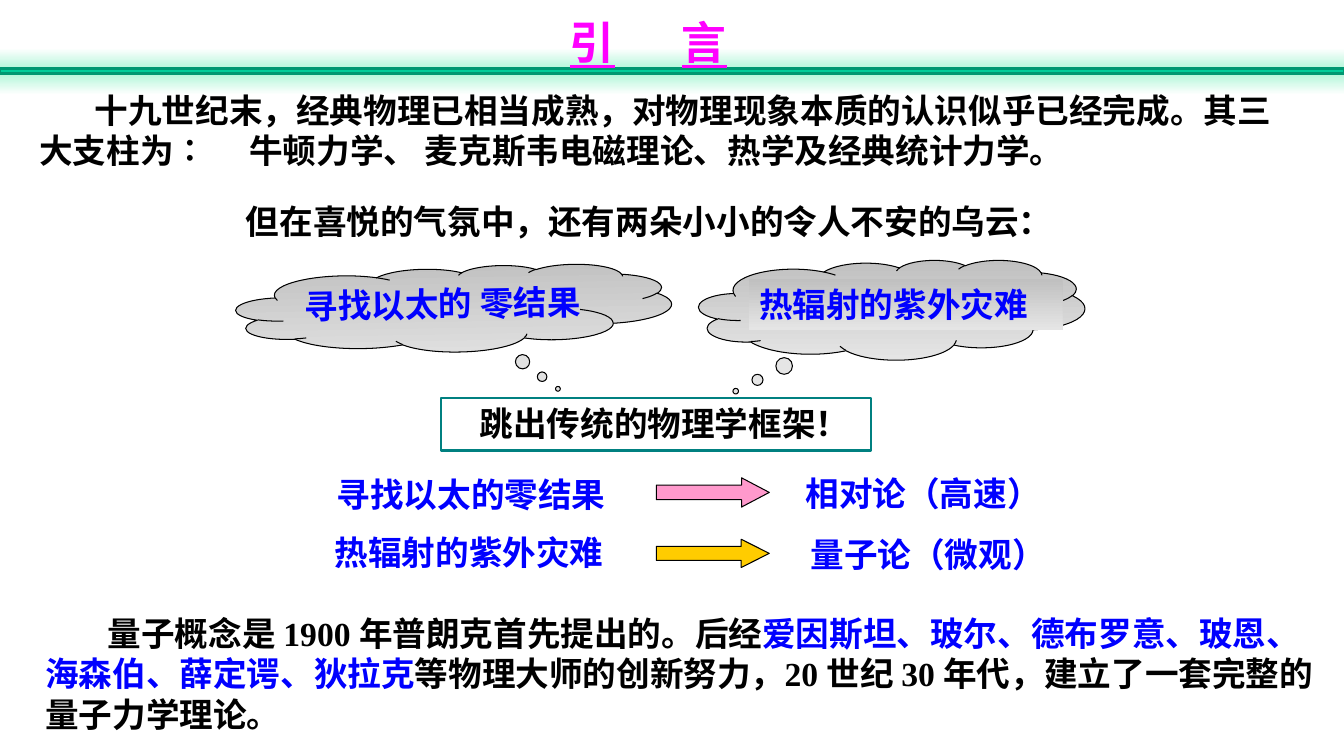
"""Build the introduction slide on the two clouds of classical physics."""
from pptx import Presentation
from pptx.dml.color import RGBColor
from pptx.enum.shapes import MSO_SHAPE as Shape
from pptx.enum.text import MSO_ANCHOR as Anchor, PP_ALIGN as Align
from pptx.util import Inches, Pt

BLACK, BLUE, MAGENTA = "000000", "0000FF", "FF00FF"


def paint(part, fill=None, line=None, width=0.75):
    """Fill with one colour or a downward pair, and outline if asked."""
    part.shadow.inherit = False
    if isinstance(fill, tuple):
        part.fill.gradient()
        part.fill.gradient_angle = 270
        for stop, tone in zip(part.fill.gradient_stops, fill):
            stop.color.rgb = RGBColor.from_string(tone)
    elif fill:
        part.fill.solid()
        part.fill.fore_color.rgb = RGBColor.from_string(fill)
    else:
        part.fill.background()
    if line:
        part.line.color.rgb = RGBColor.from_string(line)
        part.line.width = Pt(width)
    else:
        part.line.fill.background()


def write(part, runs, size=24, align=Align.LEFT, indent=0, margin=0):
    """Write (text, colour, spacing in points) runs as one paragraph."""
    frame = part.text_frame
    frame.word_wrap = True
    frame.vertical_anchor = Anchor.TOP
    paragraph = frame.paragraphs[0]
    paragraph.alignment = align
    properties = paragraph._p.get_or_add_pPr()
    properties.set("marL", str(Inches(margin)))
    properties.set("indent", str(Inches(indent)))
    for text, tone, spacing in runs:
        run = paragraph.add_run()
        run.text = text
        run.font.name = "Times New Roman"
        run.font.size = Pt(size)
        run.font.bold = True
        run.font.color.rgb = RGBColor.from_string(tone)
        if spacing:
            run.font._element.set("spc", str(spacing * 100))


deck = Presentation()
deck.slide_width, deck.slide_height = Inches(13.33), Inches(7.5)
slide = deck.slides.add_slide(deck.slide_layouts[6])
shapes = slide.shapes
slide.background.fill.solid()
slide.background.fill.fore_color.rgb = RGBColor.from_string("FFFFFF")

for top, tones in ((0.48, ("FFFFFF", "AAF5D5")), (0.71, ("AAF5D5", "FFFFFF"))):
    glow = shapes.add_shape(Shape.RECTANGLE, 0, Inches(top), Inches(13.33), Inches(0.23))
    paint(glow, tones)
bar = shapes.add_shape(Shape.RECTANGLE, 0, Inches(0.68), Inches(13.33), Inches(0.05))
paint(bar, "00CC99", "009771", 2)

title = shapes.add_textbox(Inches(5.37), Inches(0.1), Inches(2.12), Inches(0.63))
write(title, [("引", MAGENTA, 48), ("言", MAGENTA, 0)], 32, Align.CENTER)
for run in title.text_frame.paragraphs[0].runs:
    run.font.underline = True

pillars = shapes.add_textbox(Inches(0.29), Inches(0.84), Inches(12.68), Inches(0.91))
write(pillars, [
    ("十九世纪末，经典物理已相当成熟，对物理现象本质的认识似乎已经完成。其三大支柱为", BLACK, 0),
    ("∶", BLACK, 30),
    ("牛顿力学、 麦克斯韦电磁理论、热学及经典统计力学。", BLACK, 0),
], indent=0.55)

turn = shapes.add_textbox(Inches(2.34), Inches(1.94), Inches(8.79), Inches(0.5))
write(turn, [("但在喜悦的气氛中，还有两朵小小的令人不安的乌云：", BLACK, 0)])

breakout = shapes.add_shape(Shape.RECTANGLE, Inches(4.37), Inches(3.95), Inches(4.27), Inches(0.52))
paint(breakout, None, "008080", 1.5)
write(breakout, [("跳出传统的物理学框架！", BLACK, 0)], align=Align.CENTER, margin=0.17)

clouds = [
    ((2.34, 2.64, 4.32, 0.85), (0.236, 0.953), "E1E1E1", 359,
     (2.92, 2.76, 3.09, 0.5), None, "寻找以太的 零结果"),
    ((6.93, 2.58, 3.83, 0.99), (-0.404, 0.814), "E5E5E5", 0,
     (7.43, 2.77, 3.11, 0.5), ("C0C0C0", "E5E5E5"), "热辐射的紫外灾难"),
]
for place, tail, shade, turned, label_place, label_fill, worry in clouds:
    cloud = shapes.add_shape(Shape.CLOUD_CALLOUT, *map(Inches, place))
    cloud.adjustments[0], cloud.adjustments[1] = tail
    cloud.rotation = turned
    paint(cloud, ("C0C0C0", shade), BLACK)
    label = shapes.add_shape(Shape.RECTANGLE, *map(Inches, label_place))
    label.rotation = turned
    paint(label, label_fill)
    write(label, [(worry, BLUE, 0)])

outcomes = [
    ("寻找以太的零结果", (3.24, 4.65), (4.74, 0.29), 0.948, "FF99CC", "相对论（高速）", (7.89, 4.64)),
    ("热辐射的紫外灾难", (3.22, 5.23), (5.35, 0.28), 0.994, "FFCC00", "量子论（微观）", (7.94, 5.25)),
]
for worry, worry_at, (top, height), head, tone, theory, theory_at in outcomes:
    for text, (x, y) in ((worry, worry_at), (theory, theory_at)):
        label = shapes.add_textbox(Inches(x), Inches(y), Inches(3.15), Inches(0.5))
        write(label, [(text, BLUE, 0)])
    arrow = shapes.add_shape(Shape.RIGHT_ARROW, Inches(6.51), Inches(top), Inches(1.12), Inches(height))
    arrow.adjustments[1] = head
    paint(arrow, tone, BLACK)

history = shapes.add_textbox(Inches(0.35), Inches(6.03), Inches(12.97), Inches(1.31))
write(history, [
    ("量子概念是 1900 年普朗克首先提出的。后经", BLACK, 0),
    ("爱因斯坦、玻尔、德布罗意、玻恩、海森伯、薛定谔、狄拉克", BLUE, 0),
    ("等物理大师的创新努力，20 世纪 30 年代，建立了一套完整的量子力学理论。", BLACK, 0),
], indent=0.62)

deck.save("out.pptx")
